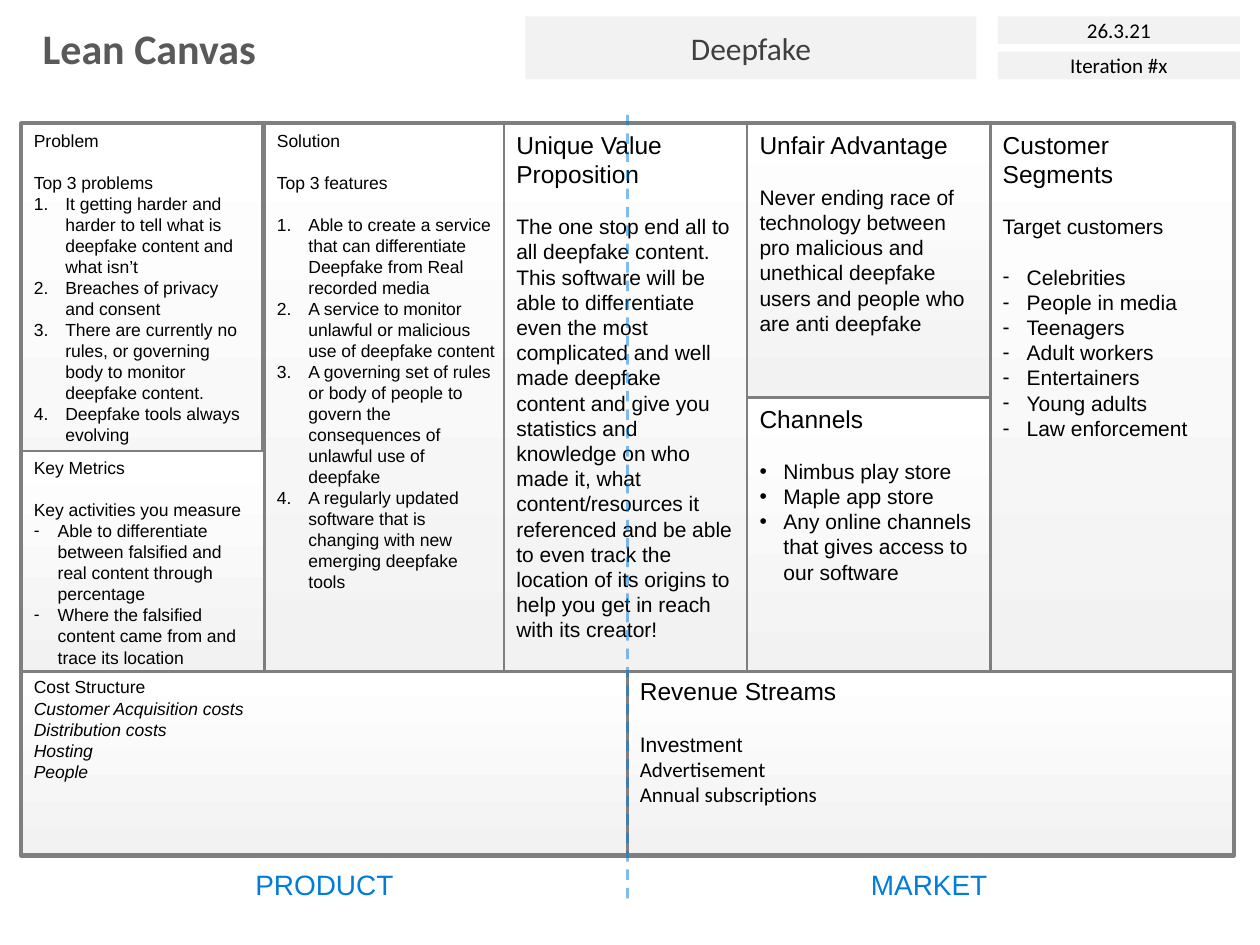
from collections import namedtuple

from lxml import etree
from pptx import Presentation
from pptx.dml.color import RGBColor
from pptx.enum import dml, shapes, text
from pptx.oxml import ns
from pptx.util import Inches, Pt

BLACK = RGBColor(0x00, 0x00, 0x00)
WHITE = RGBColor(0xFF, 0xFF, 0xFF)
PALE = RGBColor(0xF2, 0xF2, 0xF2)
GREY = RGBColor(0x7F, 0x7F, 0x7F)
TITLE = RGBColor(0x59, 0x59, 0x59)
DARK = RGBColor(0x3F, 0x3F, 0x3F)
BLUE = RGBColor(0x00, 0x7D, 0xDA)

COLUMN = 1.93
TOP_ROW = 4.35
BOTTOM_ROW = 1.46

Group = namedtuple("Group", "lines marker gap italic font",
                   defaults=(None, True, False, "Arial"))
Cell = namedtuple("Cell", "box heading sizes groups")

SMALL = (10, 10)
LARGE = (14, 12)

CELLS = [
    Cell((0, 4.34, 4.81, BOTTOM_ROW), "Cost Structure", SMALL, [
        Group(["Customer Acquisition costs", "Distribution costs", "Hosting", "People"],
              gap=False, italic=True)]),
    Cell((4.81, 4.34, 4.81, BOTTOM_ROW), "Revenue Streams", LARGE, [
        Group(["Investment"]),
        Group(["Advertisement", "Annual subscriptions"], gap=False, font="Calibri")]),
    Cell((0, 0, 1.91, TOP_ROW), "Problem", SMALL, [
        Group(["Top 3 problems"]),
        Group(["It getting harder and harder to tell what is deepfake content and what isn’t",
               "Breaches of privacy and consent",
               "There are currently no rules, or governing body to monitor deepfake content.",
               "Deepfake tools always evolving"], "1.", gap=False)]),
    Cell((COLUMN, 0, COLUMN, TOP_ROW), "Solution", SMALL, [
        Group(["Top 3 features"]),
        Group(["Able to create a service that can differentiate Deepfake from Real recorded media",
               "A service to monitor unlawful or malicious use of deepfake content",
               "A governing set of rules or body of people to govern the consequences of "
               "unlawful use of deepfake",
               "A regularly updated software that is changing with new emerging deepfake tools"],
              "1.")]),
    Cell((0, 2.6, COLUMN, 1.75), "Key Metrics", SMALL, [
        Group(["Key activities you measure"]),
        Group(["Able to differentiate between falsified and real content through percentage",
               "Where the falsified content came from and trace its location"], "-", gap=False)]),
    Cell((3.83, 0, COLUMN, TOP_ROW), "Unique Value Proposition", LARGE, [
        Group(["The one stop end all to all deepfake content. This software will be able to "
               "differentiate even the most complicated and well made deepfake content and give "
               "you statistics and knowledge on who made it, what content/resources it referenced "
               "and be able to even track the location of its origins to help you get in reach "
               "with its creator!"])]),
    Cell((5.76, 0, COLUMN, TOP_ROW / 2), "Unfair Advantage", LARGE, [
        Group(["Never ending race of technology between pro malicious and unethical deepfake "
               "users and people who are anti deepfake"])]),
    Cell((5.76, TOP_ROW / 2, COLUMN, TOP_ROW / 2), "Channels", LARGE, [
        Group(["Nimbus play store", "Maple app store",
               "Any online channels that gives access to our software"], "•")]),
    Cell((7.69, 0, COLUMN, TOP_ROW), "Customer Segments", LARGE, [
        Group(["Target customers"]),
        Group(["Celebrities", "People in media", "Teenagers", "Adult workers", "Entertainers",
               "Young adults", "Law enforcement"], "-")]),
]


def style(p, size, color, font="Arial", bold=False, italic=False):
    for r in p.runs:
        r.font.size = Pt(size)
        r.font.name = font
        r.font.color.rgb = color
        r.font.bold = bold
        r.font.italic = italic


def set_marker(p, marker):
    indent = Inches(0.25 if marker == "1." else 0.19)
    pPr = p._p.get_or_add_pPr()
    pPr.set("marL", str(indent))
    pPr.set("indent", str(-indent))
    if marker == "1.":
        etree.SubElement(pPr, ns.qn("a:buAutoNum"), type="arabicPeriod")
    else:
        etree.SubElement(pPr, ns.qn("a:buFont"), typeface="Arial")
        etree.SubElement(pPr, ns.qn("a:buChar"), char=marker)


def add_box(s, kind, left, top, width, height):
    sp = s.shapes.add_shape(kind, Inches(left), Inches(top), Inches(width), Inches(height))
    sp.shadow.inherit = False
    return sp


def add_label(s, box, words, size, color, align, font="Arial", bold=False):
    tf = s.shapes.add_textbox(*map(Inches, box)).text_frame
    tf.word_wrap = False
    p = tf.paragraphs[0]
    p.text = words
    p.alignment = align
    style(p, size, color, font, bold)


def add_field(s, box, words, size, color):
    sp = add_box(s, shapes.MSO_SHAPE.RECTANGLE, *box)
    sp.fill.solid()
    sp.fill.fore_color.rgb = PALE
    sp.line.fill.background()
    tf = sp.text_frame
    tf.vertical_anchor = text.MSO_ANCHOR.MIDDLE
    p = tf.paragraphs[0]
    p.text = words
    p.alignment = text.PP_ALIGN.CENTER
    style(p, size, color, "Calibri")


def add_header(s, left, top, width, height):
    add_label(s, (left, top, 1.92, height), "Lean Canvas", 24, TITLE,
              text.PP_ALIGN.LEFT, "Calibri", True)
    add_field(s, (left + 3.93, top, 3.58, height), "Deepfake", 18, DARK)
    for i, words in enumerate(["26.3.21", "Iteration #x"]):
        add_field(s, (left + width - 1.92, top + 0.28 * i, 1.92, 0.22), words, 12, BLACK)


def add_frame(s, box, weight):
    sp = add_box(s, shapes.MSO_SHAPE.ROUNDED_RECTANGLE, *box)
    sp.adjustments[0] = 0
    sp.line.color.rgb = GREY
    sp.line.width = Pt(weight)
    return sp


def add_cell(s, box, cell):
    sp = add_frame(s, box, 1.5)
    sp.fill.gradient()
    sp.fill.gradient_angle = 90
    for stop, color in zip(sp.fill.gradient_stops, (PALE, WHITE)):
        stop.color.rgb = color
    tf = sp.text_frame
    tf.word_wrap = True
    tf.vertical_anchor = text.MSO_ANCHOR.TOP
    heading_size, body_size = cell.sizes
    p = tf.paragraphs[0]
    p.text = cell.heading
    p.alignment = text.PP_ALIGN.LEFT
    style(p, heading_size, BLACK)
    for group in cell.groups:
        for i, line in enumerate(group.lines):
            p = tf.add_paragraph()
            p.text = line
            p.alignment = text.PP_ALIGN.LEFT
            style(p, body_size, BLACK, group.font, italic=group.italic)
            if group.gap and i == 0:
                p.space_before = Pt(1.2 * body_size)
            if group.marker:
                set_marker(p, group.marker)


def add_canvas(s, left, top, width, height):
    add_frame(s, (left, top, width, height), 3).fill.background()
    for cell in CELLS:
        dx, dy, w, h = cell.box
        add_cell(s, (left + dx, top + dy, w, h), cell)


def add_footer(s, left, top, width, height):
    for words, dx, w in (("PRODUCT", 1.75, 1.31), ("MARKET", 6.64, 1.13)):
        add_label(s, (left + dx, top, w, height), words, 16, BLUE, text.PP_ALIGN.CENTER)


def add_divider(s, x, top, bottom):
    line = s.shapes.add_connector(shapes.MSO_CONNECTOR.STRAIGHT, Inches(x), Inches(bottom),
                                  Inches(x), Inches(top))
    line.line.color.rgb = BLUE
    line.line.width = Pt(1.5)
    line.line.dash_style = dml.MSO_LINE.DASH
    spPr = line._element.spPr
    etree.SubElement(spPr.find(".//" + ns.qn("a:srgbClr")), ns.qn("a:alpha"), val="50000")
    etree.SubElement(spPr, ns.qn("a:effectLst"))


def main():
    prs = Presentation()
    prs.slide_width, prs.slide_height = Inches(10), Inches(7.5)
    s = prs.slides.add_slide(prs.slide_layouts[6])
    add_header(s, 0.24, 0.13, 9.6, 0.5)
    add_canvas(s, 0.17, 0.98, 9.62, 5.81)
    add_footer(s, 0.17, 6.84, 9.62, 0.37)
    add_divider(s, 4.98, 0.86, 7.13)
    prs.save("out.pptx")


if __name__ == "__main__":
    main()
